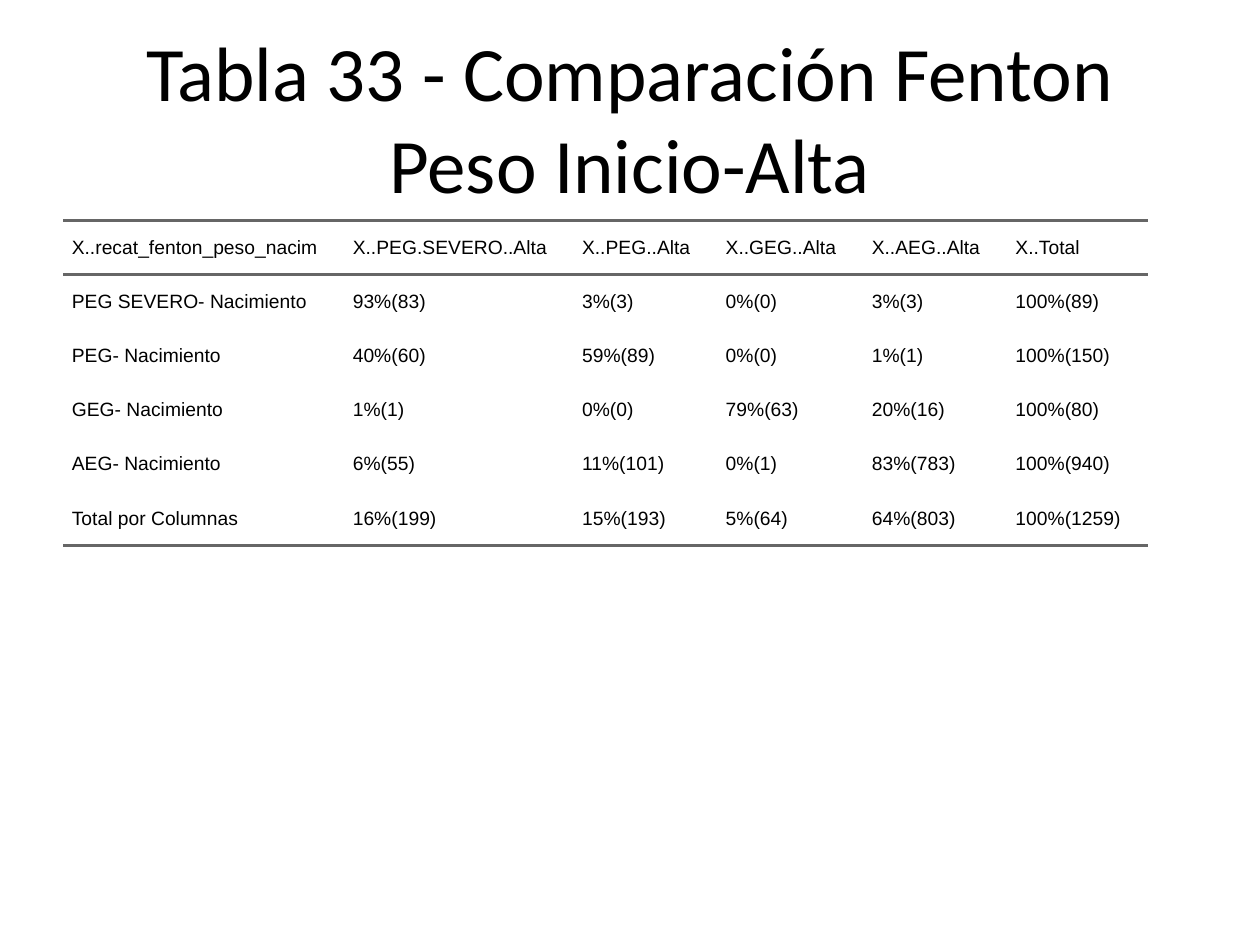
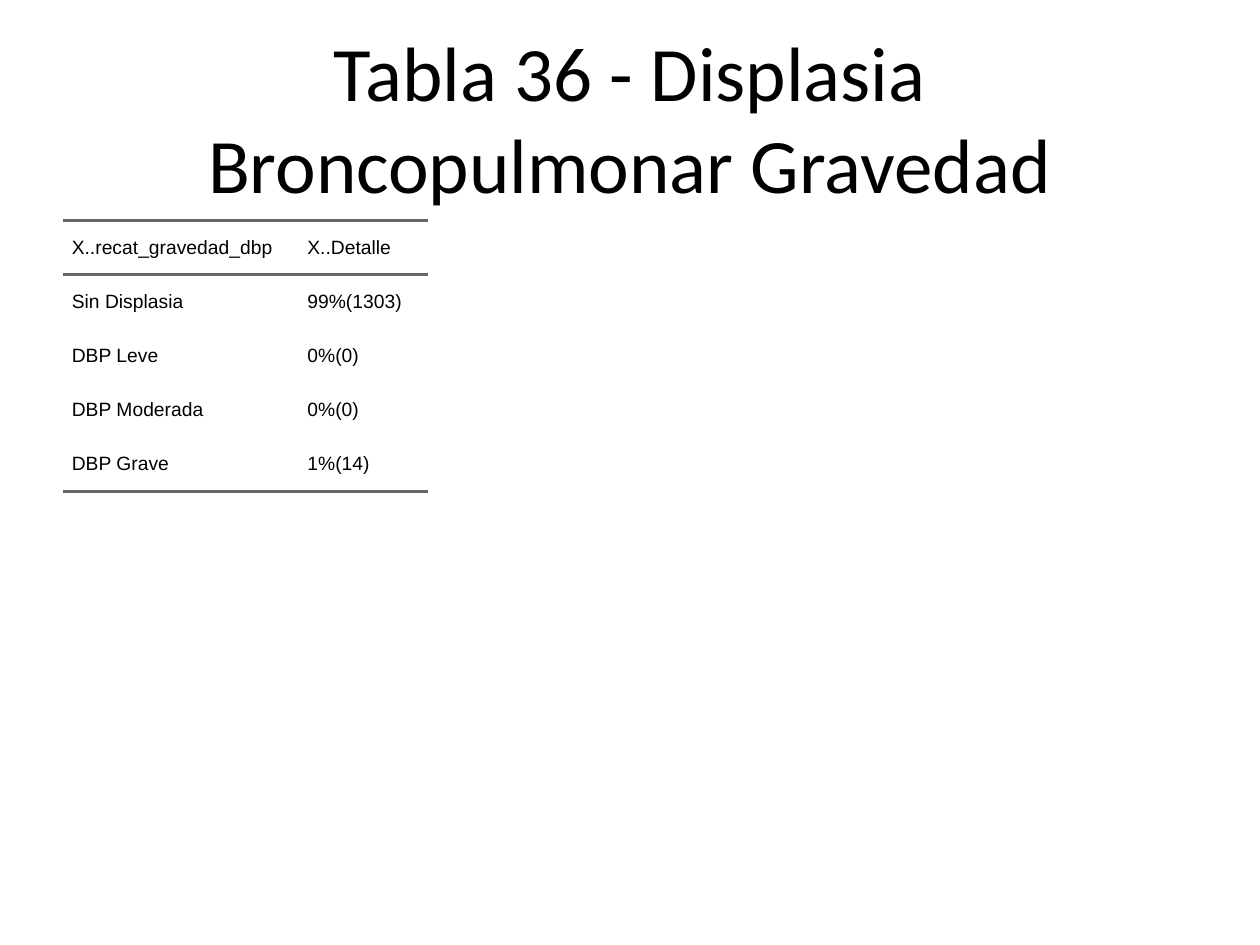
from lxml import etree
from pptx import Presentation
from pptx.dml.color import RGBColor
from pptx.enum import text
from pptx.oxml.ns import qn
from pptx import util as u

PLAIN = "{2D5ABB26-0587-4C30-8999-92F81FD0307C}"  # no style, no grid


def color(code):
    return RGBColor.from_string(code)


class Deck:
    ink, rule = "000000", "666666"
    left, top, row = 0.5, 1.75, 0.43

    def __init__(self):
        self.prs = Presentation()
        self.prs.slide_width = u.Inches(10)
        self.prs.slide_height = u.Inches(7.5)

    def page(self, title):
        self.slide = self.prs.slides.add_slide(self.prs.slide_layouts[6])
        self.title(title)

    def run(self, par, words, font, size):
        run = par.add_run()
        run.text = words
        run.font.name = font
        run.font.size = u.Pt(size)
        run.font.color.rgb = color(self.ink)

    def title(self, words):
        box = self.slide.shapes.add_textbox(
            u.Inches(self.left), u.Inches(0.3), u.Inches(9), u.Inches(1.25))
        frame = box.text_frame
        frame.word_wrap = True
        frame.vertical_anchor = text.MSO_ANCHOR.MIDDLE
        par = frame.paragraphs[0]
        par.alignment = text.PP_ALIGN.CENTER
        self.run(par, words, "Calibri", 44)

    def border(self, cell, side):
        props = cell._tc.get_or_add_tcPr()
        line = etree.SubElement(props, qn("a:ln" + side), w=str(u.Pt(2)))
        fill = etree.SubElement(line, qn("a:solidFill"))
        etree.SubElement(fill, qn("a:srgbClr"), val=self.rule)

    def cell(self, cell, words, sides):
        cell.margin_left = cell.margin_right = 0
        cell.margin_top = cell.margin_bottom = 0
        cell.vertical_anchor = text.MSO_ANCHOR.MIDDLE
        for side in sides:
            self.border(cell, side)
        cell.fill.background()
        par = cell.text_frame.paragraphs[0]
        par._p.get_or_add_pPr().set("marL", str(u.Inches(0.07)))
        par.space_before = par.space_after = u.Pt(5)
        self.run(par, words, "Arial", 11)

    def table(self, widths, rows):
        frame = self.slide.shapes.add_table(
            len(rows), len(widths), u.Inches(self.left), u.Inches(self.top),
            u.Inches(sum(widths)), u.Inches(self.row * len(rows)))
        grid = frame.table
        grid.first_row = grid.horz_banding = False
        grid._tbl.tblPr.find(qn("a:tableStyleId")).text = PLAIN
        for col, width in zip(grid.columns, widths):
            col.width = u.Inches(width)
        # Rules above and below the header, and below the last row
        last = len(rows) - 1
        for i, row in enumerate(rows):
            grid.rows[i].height = u.Inches(self.row)
            sides = "TB" if i == 0 else "B" if i == last else ""
            for j, words in enumerate(row):
                self.cell(grid.cell(i, j), words, sides)


def main():
    deck = Deck()

    # Weight at birth against weight at discharge
    deck.page("Tabla 33 - Comparación Fenton Peso Inicio-Alta")
    deck.table([2.23, 1.82, 1.14, 1.16, 1.14, 1.12], [
        ["X..recat_fenton_peso_nacim", "X..PEG.SEVERO..Alta", "X..PEG..Alta",
         "X..GEG..Alta", "X..AEG..Alta", "X..Total"],
        ["PEG SEVERO- Nacimiento", "93%(83)", "3%(3)", "0%(0)", "3%(3)", "100%(89)"],
        ["PEG- Nacimiento", "40%(60)", "59%(89)", "0%(0)", "1%(1)", "100%(150)"],
        ["GEG- Nacimiento", "1%(1)", "0%(0)", "79%(63)", "20%(16)", "100%(80)"],
        ["AEG- Nacimiento", "6%(55)", "11%(101)", "0%(1)", "83%(783)", "100%(940)"],
        ["Total por Columnas", "16%(199)", "15%(193)", "5%(64)", "64%(803)", "100%(1259)"],
    ])

    # Severity of dysplasia
    deck.page("Tabla 36 - Displasia Broncopulmonar Gravedad")
    deck.table([1.87, 1.03], [
        ["X..recat_gravedad_dbp", "X..Detalle"],
        ["Sin Displasia", "99%(1303)"],
        ["DBP Leve", "0%(0)"],
        ["DBP Moderada", "0%(0)"],
        ["DBP Grave", "1%(14)"],
    ])

    deck.prs.save("out.pptx")


if __name__ == "__main__":
    main()
